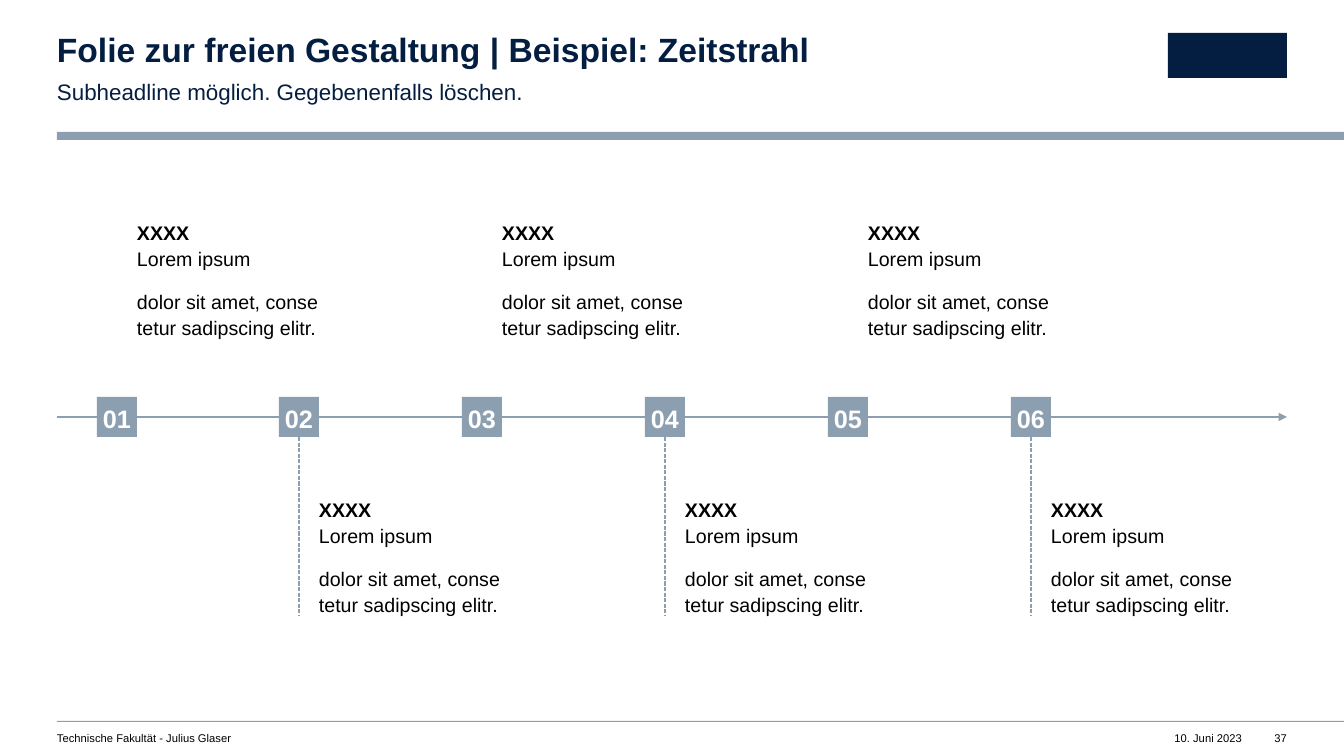
"""Build a timeline slide with six numbered steps alternating above and below an axis."""
from dataclasses import dataclass

from lxml.etree import SubElement
from pptx import Presentation
from pptx.dml.color import RGBColor
from pptx.enum.dml import MSO_LINE
from pptx.enum.shapes import MSO_CONNECTOR, MSO_SHAPE
from pptx.enum.text import MSO_ANCHOR, PP_ALIGN
from pptx.oxml.ns import qn
from pptx.shapes.autoshape import Shape
from pptx.shapes.connector import Connector
from pptx.slide import Slide
from pptx.text.text import TextFrame
from pptx.util import Emu, Pt

NAVY = RGBColor(0x04, 0x1E, 0x42)
STEEL = RGBColor(0x8C, 0x9F, 0xB1)
BLACK = RGBColor(0x00, 0x00, 0x00)
WHITE = RGBColor(0xFF, 0xFF, 0xFF)

FONT = "Arial"
PX_PER_INCH = 100.8
SLIDE_W, SLIDE_H = 1344, 756
LEFT, RIGHT = 57, 1287
AXIS_Y = 417
MARKER = 40
FIRST_X, LAST_X, STEPS = 97, 1011, 6
UPPER_Y, LOWER_Y, LEADER_END = 219, 496, 616
FOOTER_Y, FOOTER_H = 731, 13
STEP_TEXT = ("XXXX\vLorem ipsum", "dolor sit amet, conse\vtetur sadipscing elitr.")


@dataclass(frozen=True)
class Box:
    """Rectangle in px."""
    x: int
    y: int
    w: int
    h: int


@dataclass(frozen=True)
class Style:
    """Type and paragraph settings."""
    size: int
    color: RGBColor = BLACK
    bold: bool = False
    align: PP_ALIGN = PP_ALIGN.LEFT
    spacing: float = 1.0
    after: int = 0


@dataclass(frozen=True)
class Label:
    """Free-standing text."""
    text: str
    box: Box
    style: Style


@dataclass(frozen=True)
class Step:
    """Numbered step on the axis."""
    number: int
    x: int

    @property
    def below(self) -> bool:
        """Tell whether the text sits below the axis."""
        return self.number % 2 == 0


SMALL = Style(8)
SMALL_RIGHT = Style(8, align=PP_ALIGN.RIGHT)
BODY = Style(14, spacing=1.1, after=12)
NUMBER = Style(18, WHITE, True, PP_ALIGN.CENTER, 1.1, 12)

BARS = (Box(LEFT, 132, SLIDE_W - LEFT, 8), Box(LEFT, 721, SLIDE_W - LEFT, 1))
LOGO = Box(1168, 33, 119, 45)
LABELS = (
    Label("Folie zur freien Gestaltung | Beispiel: Zeitstrahl",
          Box(LEFT, 33, 755, 36), Style(24, NAVY, True, spacing=0.9)),
    Label("Subheadline möglich. Gegebenenfalls löschen.",
          Box(LEFT, 76, 755, 27), Style(16, NAVY, spacing=1.1, after=12)),
    Label("Technische Fakultät - Julius Glaser",
          Box(LEFT, FOOTER_Y, 603, FOOTER_H), SMALL),
    Label("10. Juni 2023", Box(1162, FOOTER_Y, 80, FOOTER_H), SMALL_RIGHT),
    Label("37", Box(1267, FOOTER_Y, 20, FOOTER_H), SMALL_RIGHT),
)
TIMELINE = [Step(i + 1, FIRST_X + i * (LAST_X - FIRST_X) // (STEPS - 1))
            for i in range(STEPS)]


def px(n: int) -> Emu:
    """Turn px into EMU."""
    return Emu(round(n * 914400 / PX_PER_INCH))


def place(box: Box) -> tuple[Emu, Emu, Emu, Emu]:
    """Give a box in EMU."""
    return px(box.x), px(box.y), px(box.w), px(box.h)


def write(tf: TextFrame, text: str, style: Style) -> None:
    """Fill a text frame and format its paragraphs."""
    tf.margin_left = tf.margin_right = tf.margin_top = tf.margin_bottom = 0
    tf.word_wrap = True
    tf.text = text
    for p in tf.paragraphs:
        p.alignment = style.align
        p.line_spacing = style.spacing
        p.space_after = Pt(style.after)
        for r in p.runs:
            r.font.name = FONT
            r.font.size = Pt(style.size)
            r.font.bold = style.bold
            r.font.color.rgb = style.color


def add_text(s: Slide, label: Label) -> TextFrame:
    """Add a text box."""
    tf = s.shapes.add_textbox(*place(label.box)).text_frame
    write(tf, label.text, label.style)
    return tf


def add_rect(s: Slide, box: Box, color: RGBColor) -> Shape:
    """Add a plain filled rectangle."""
    sp = s.shapes.add_shape(MSO_SHAPE.RECTANGLE, *place(box))
    sp.shadow.inherit = False
    sp.fill.solid()
    sp.fill.fore_color.rgb = color
    sp.line.fill.background()
    return sp


def add_line(s: Slide, x1: int, y1: int, x2: int, y2: int) -> Connector:
    """Add a thin straight line."""
    line = s.shapes.add_connector(
        MSO_CONNECTOR.STRAIGHT, px(x1), px(y1), px(x2), px(y2))
    line.line.color.rgb = STEEL
    line.line.width = Pt(1)
    SubElement(line._element.spPr, qn("a:effectLst"))
    return line


def add_axis(s: Slide) -> None:
    """Add the arrow that carries the steps."""
    axis = add_line(s, LEFT, AXIS_Y, RIGHT, AXIS_Y)
    SubElement(axis.line._get_or_add_ln(), qn("a:tailEnd"), type="triangle")


def add_step(s: Slide, step: Step) -> None:
    """Add a marker, its text and, below the axis, its leader."""
    top = AXIS_Y - MARKER // 2
    marker = add_rect(s, Box(step.x, top, MARKER, MARKER), STEEL)
    marker.text_frame.vertical_anchor = MSO_ANCHOR.MIDDLE
    write(marker.text_frame, f"{step.number:02}", NUMBER)

    text_y = LOWER_Y if step.below else UPPER_Y
    box = Box(step.x + MARKER, text_y, 197, 119)
    tf = add_text(s, Label("\n".join(STEP_TEXT), box, BODY))
    tf.paragraphs[0].runs[0].font.bold = True

    if step.below:
        mid = step.x + MARKER // 2
        leader = add_line(s, mid, top + MARKER, mid, LEADER_END)
        leader.line.dash_style = MSO_LINE.SQUARE_DOT
        leader.begin_connect(marker, 2)


def main() -> None:
    """Build and save the slide."""
    prs = Presentation()
    prs.slide_width, prs.slide_height = px(SLIDE_W), px(SLIDE_H)
    s = prs.slides.add_slide(prs.slide_layouts[6])
    for bar in BARS:
        add_rect(s, bar, STEEL)
    add_rect(s, LOGO, NAVY)
    for label in LABELS:
        add_text(s, label)
    add_axis(s)
    for step in TIMELINE:
        add_step(s, step)
    prs.save("out.pptx")


if __name__ == "__main__":
    main()
